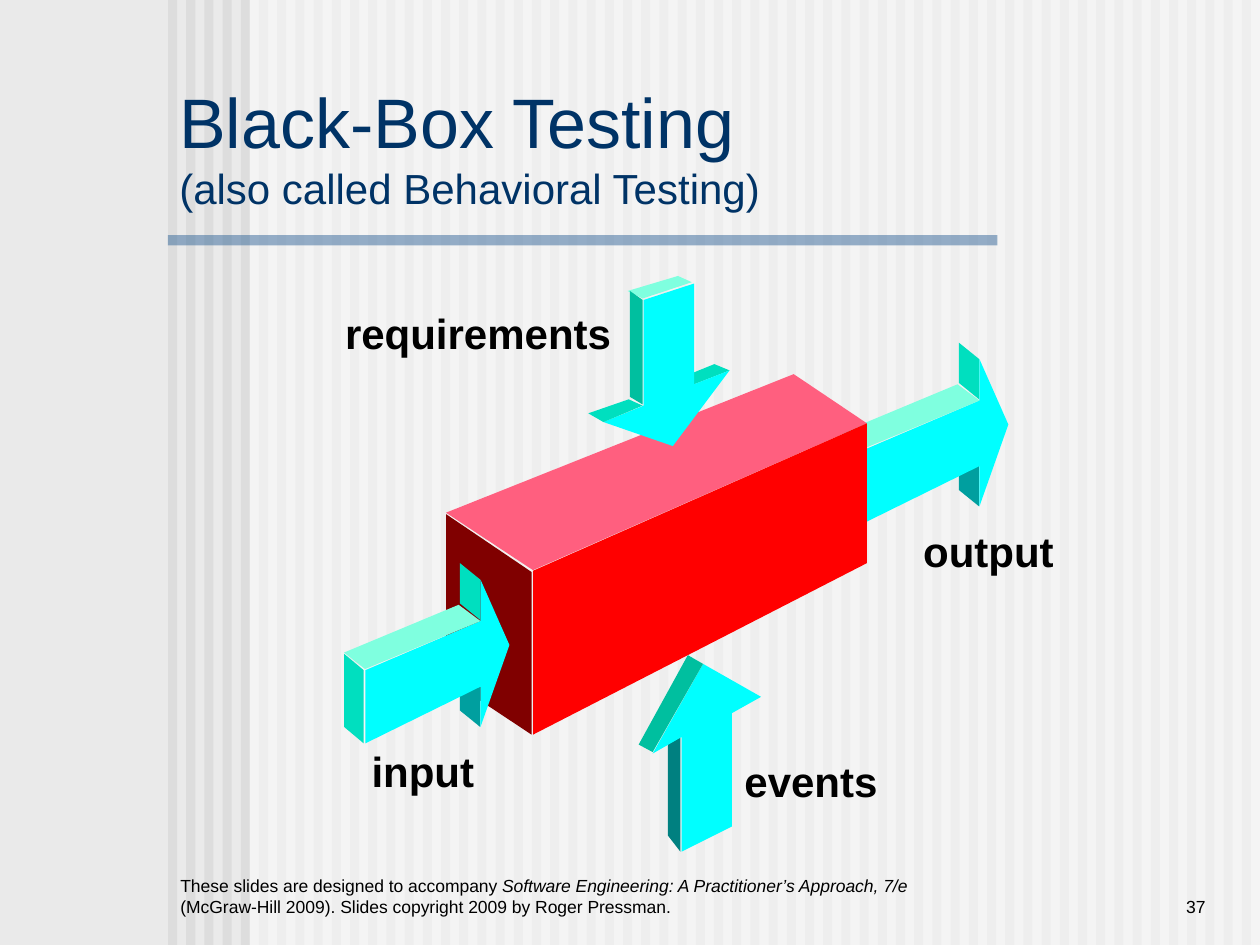
from lxml.etree import SubElement
from pptx import Presentation
from pptx.dml.color import RGBColor
from pptx.enum.shapes import MSO_SHAPE
from pptx.enum.text import MSO_ANCHOR, PP_ALIGN
from pptx.oxml.ns import qn
from pptx.util import Pt

WIDE, HIGH = 720, 540
CYAN, MINT, TEAL, JADE = "00FFFF", "7FFFDF", "00DFBF", "00BF9F"

# Faces of the slanted arrow, measured from its top left corner
SLANT = [
    ("009F9F", [(77.8, 93.6), (77.8, 70.6), (66.2, 61.2), (66.2, 84.2)]),
    (CYAN, [(78, 33.1), (12.2, 61.2), (12.2, 103), (78, 70.6),
            (78, 93.6), (94.5, 46.8), (78, 9.4)]),
    (TEAL, [(11.2, 61.2), (11.2, 103), (0, 93.6), (0, 51.8)]),
    (MINT, [(0, 51.1), (12, 60.5), (78, 33.1), (65.5, 23.8)]),
    (TEAL, [(77.8, 9.4), (66.2, 0), (66.2, 23), (77.8, 32.4)]),
]
EVENTS = [
    ("008080", [(388.8, 486.7), (388.8, 421.9), (381.6, 416.9), (381.6, 477.4)]),
    (CYAN, [(401.8, 379.4), (434.9, 398.2), (418.3, 407.5), (418.3, 472.3),
            (389.5, 486.7), (389.5, 421.2), (373, 430.6)]),
    (JADE, [(373, 429.8), (365, 425.5), (393.1, 374.4), (401.8, 379.4)]),
]
BOX = [
    ("800000", [(254.9, 293.8), (303.8, 326.9), (303.8, 419.8), (254.9, 387.4)]),
    ("FF5F7F", [(254.9, 293), (304.6, 325.8), (495.4, 241.9), (453.6, 213.8)]),
    ("FF0000", [(304.6, 326.2), (304.6, 419.8), (495.4, 321.8), (495.4, 241.9)]),
]
NEEDS = [
    (MINT, [(358.6, 166.3), (367.2, 170.6), (395.3, 161.3), (387.4, 157.7)]),
    (TEAL, [(396.7, 219.6), (416.9, 211.7), (408.2, 208.1), (388.8, 216)]),
    (CYAN, [(367.9, 171.4), (396.7, 162), (396.7, 219.6), (416.9, 211.7),
            (384.5, 254.9), (344.9, 241.2), (367.9, 231.8)]),
    (TEAL, [(344.9, 241.2), (336.2, 236.2), (359.3, 228.2), (367.2, 231.8)]),
    (JADE, [(360, 226.8), (367.2, 231.1), (367.2, 171.4), (360, 166.3)]),
]
LABELS = [
    ("requirements", 190.1, 172.1, 172),
    ("events", 418.3, 428.4, 96),
    ("input", 205.2, 422.6, 79),
    ("output", 520.4, 296.6, 95),
]


def color(code):
    return RGBColor.from_string(code)


class Painter:
    font = "Arial"

    def __init__(self, slide):
        self.slide = slide
        self.shapes = slide.shapes

    def ground(self, code):
        fill = self.slide.background.fill
        fill.solid()
        fill.fore_color.rgb = color(code)

    def paint(self, shape, code, alpha=None):
        """Fill a shape flat, with alpha in percent, and drop line and shadow."""
        shape.shadow.inherit = False
        shape.line.fill.background()
        shape.fill.solid()
        shape.fill.fore_color.rgb = color(code)
        if alpha:
            tint = shape.fill._xPr.find(".//" + qn("a:srgbClr"))
            SubElement(tint, qn("a:alpha"), val=str(alpha * 1000))

    def rect(self, x, y, w, h, code, alpha=None):
        shape = self.shapes.add_shape(
            MSO_SHAPE.RECTANGLE, Pt(x), Pt(y), Pt(w), Pt(h))
        self.paint(shape, code, alpha)

    def solid(self, faces, dx=0, dy=0):
        """Draw the faces of a solid body, moved by dx and dy."""
        for code, points in faces:
            spots = [(Pt(x + dx), Pt(y + dy)) for x, y in points]
            pen = self.shapes.build_freeform(*spots[0])
            pen.add_line_segments(spots[1:], close=True)
            self.paint(pen.convert_to_shape(), code)

    def text(self, words, x, y, w, h, size, code="000000", bold=False,
             anchor=MSO_ANCHOR.TOP):
        box = self.shapes.add_textbox(Pt(x), Pt(y), Pt(w), Pt(h))
        frame = box.text_frame
        frame.word_wrap = True
        frame.vertical_anchor = anchor
        frame.text = words
        para = frame.paragraphs[0]
        for run in para.runs:
            self.style(run, size, code, bold)
        return para

    def style(self, run, size, code="000000", bold=False, italic=False):
        font = run.font
        font.name, font.size = self.font, Pt(size)
        font.bold, font.italic = bold, italic
        font.color.rgb = color(code)


def main():
    deck = Presentation()
    deck.slide_width, deck.slide_height = Pt(WIDE), Pt(HIGH)
    art = Painter(deck.slides.add_slide(deck.slide_layouts[6]))

    art.ground("EAEAEA")
    for i in range(60):
        art.rect(96 + 10.4 * i, 0, 5.2, HIGH, "DDDDDD")
    art.rect(142.6, 0, WIDE - 142.6, HIGH, "FFFFFF", 50)
    art.rect(96, 134.4, 474, 5.8, "336699", 50)

    foot = art.text("These slides are designed to accompany ",
                    96, 491.8, 432, 36, 10, anchor=MSO_ANCHOR.BOTTOM)
    for words, italic in [
        ("Software Engineering: A Practitioner’s Approach, 7/e ", True),
        ("(McGraw-Hill 2009). Slides copyright 2009 by Roger Pressman.", False),
    ]:
        run = foot.add_run()
        run.text = words
        art.style(run, 10, italic=italic)
    page = art.text("37", 594, 491.8, 102, 36, 10, anchor=MSO_ANCHOR.BOTTOM)
    page.alignment = PP_ALIGN.RIGHT

    art.solid(SLANT, 481.7, 195.8)
    title = art.text("Black-Box Testing\v(also called Behavioral Testing)",
                     95.4, 64.8, 463.7, 37.4, 40, "003366",
                     anchor=MSO_ANCHOR.MIDDLE)
    title.runs[1].font.size = Pt(24)
    for faces in (EVENTS, BOX, NEEDS):
        art.solid(faces)
    art.solid(SLANT, 196.6, 321.8)
    for words, x, y, w in LABELS:
        art.text(words, x, y, w, 36, 24, bold=True)

    deck.save("out.pptx")


if __name__ == "__main__":
    main()
